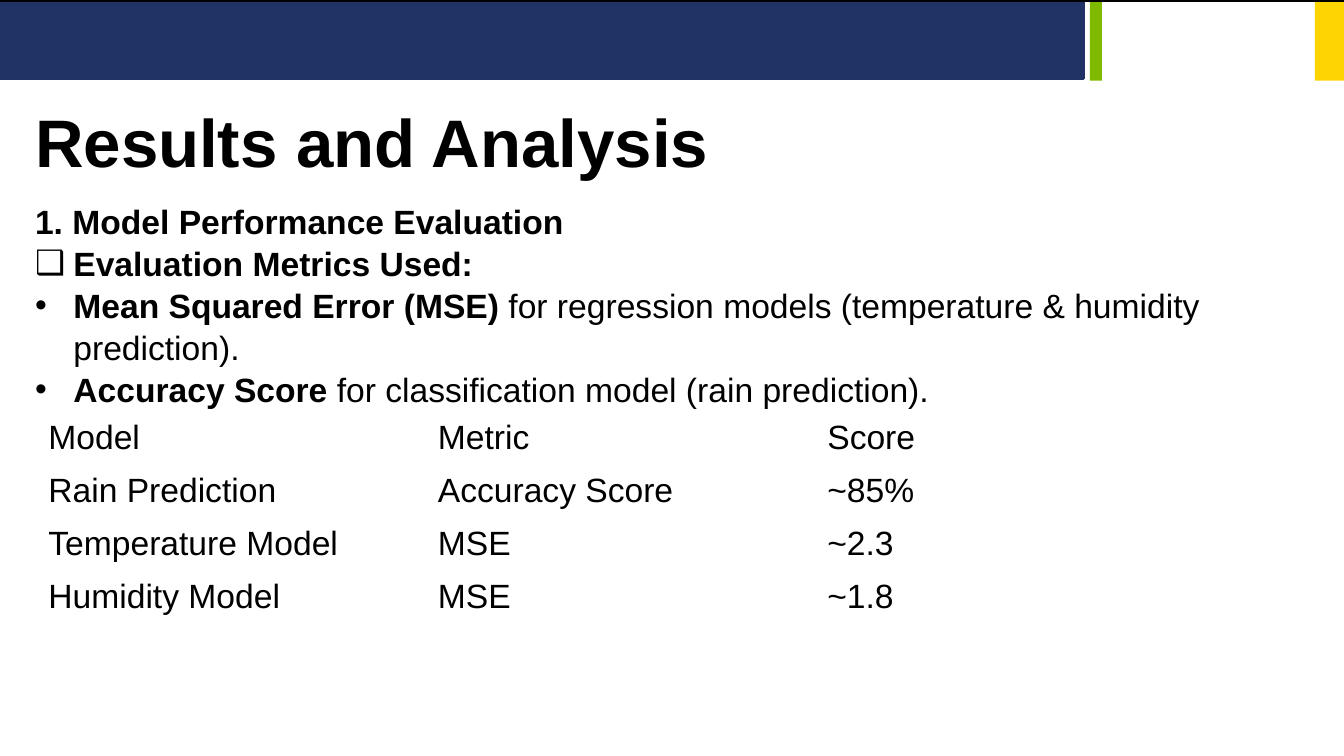
from lxml.etree import SubElement
from pptx import Presentation
from pptx.dml.color import RGBColor
from pptx.enum.shapes import MSO_SHAPE
from pptx.enum.text import MSO_ANCHOR
from pptx.oxml.ns import qn
from pptx.util import Inches, Pt

NAVY = RGBColor(0x21, 0x32, 0x64)
GREEN = RGBColor(0x7F, 0xBA, 0x00)
YELLOW = RGBColor(0xFE, 0xD5, 0x00)
BLACK = RGBColor(0x00, 0x00, 0x00)

METRICS = [
    ("", [("1. Model Performance Evaluation", True)]),
    ("❑", [("Evaluation Metrics Used:", True)]),
    ("•", [("Mean Squared Error (MSE)", True),
           (" for regression models (temperature & humidity prediction).", False)]),
    ("•", [("Accuracy Score", True),
           (" for classification model (rain prediction).", False)]),
]
SCORES = [
    ("Model", "Metric", "Score"),
    ("Rain Prediction", "Accuracy Score", "~85%"),
    ("Temperature Model", "MSE", "~2.3"),
    ("Humidity Model", "MSE", "~1.8"),
]


class SlideBuilder:
    font_name = "Arial"
    body_size = 24
    line_spacing = 1.04
    hanging_indent = Inches(0.38)

    def __init__(self, slide):
        self.slide = slide

    def style(self, span, size, bold=False):
        span.font.name = self.font_name
        span.font.size = Pt(size)
        span.font.bold = bold
        span.font.color.rgb = BLACK

    def bar(self, left, width, height, color, line_width=0):
        shape = self.slide.shapes.add_shape(
            MSO_SHAPE.RECTANGLE, Inches(left), 0, Inches(width), Inches(height))
        shape.shadow.inherit = False
        shape.fill.solid()
        shape.fill.fore_color.rgb = color
        if line_width:
            shape.line.color.rgb = color
            shape.line.width = Pt(line_width)
        else:
            shape.line.fill.background()

    def text_frame(self, left, top, width, height):
        box = self.slide.shapes.add_textbox(
            Inches(left), Inches(top), Inches(width), Inches(height))
        box.text_frame.word_wrap = True
        return box.text_frame

    def title(self, text, left, top, width, height):
        frame = self.text_frame(left, top, width, height)
        frame.text = text
        self.style(frame.paragraphs[0].runs[0], 48, bold=True)

    def bullet(self, paragraph, symbol):
        properties = paragraph._p.get_or_add_pPr()
        properties.set("marL", str(self.hanging_indent))
        properties.set("indent", str(-self.hanging_indent))
        SubElement(properties, qn("a:buFont"), typeface=self.font_name)
        SubElement(properties, qn("a:buChar"), char=symbol)

    def bullet_list(self, items, left, top, width, height):
        frame = self.text_frame(left, top, width, height)
        for index, (symbol, spans) in enumerate(items):
            paragraph = frame.add_paragraph() if index else frame.paragraphs[0]
            paragraph.line_spacing = self.line_spacing
            if symbol:
                self.bullet(paragraph, symbol)
            for text, bold in spans:
                span = paragraph.add_run()
                span.text = text
                self.style(span, self.body_size, bold)

    def table(self, rows, left, top, width, height):
        table = self.slide.shapes.add_table(
            len(rows), len(rows[0]), Inches(left), Inches(top),
            Inches(width), Inches(height)).table
        table.first_row = False
        table.horz_banding = False
        for row, texts in zip(table.rows, rows):
            for cell, text in zip(row.cells, texts):
                cell.fill.background()
                cell.vertical_anchor = MSO_ANCHOR.MIDDLE
                cell.text = text
                self.style(cell.text_frame.paragraphs[0].runs[0], self.body_size)


def main():
    deck = Presentation()
    deck.slide_width = Inches(13.33)
    deck.slide_height = Inches(7.5)
    page = SlideBuilder(deck.slides.add_slide(deck.slide_layouts[6]))
    page.bar(0, 10.75, 0.78, NAVY, 2)
    page.bar(10.81, 0.12, 0.8, GREEN)
    page.bar(13.04, 0.29, 0.8, YELLOW)
    page.bar(0, 13.33, 0.02, BLACK, 0.75)
    page.title("Results and Analysis", 0.25, 0.95, 8.98, 0.91)
    page.bullet_list(METRICS, 0.25, 1.93, 12.6, 2.1)
    page.table(SCORES, 0.38, 4.08, 11.59, 2.1)
    deck.save("out.pptx")


if __name__ == "__main__":
    main()
